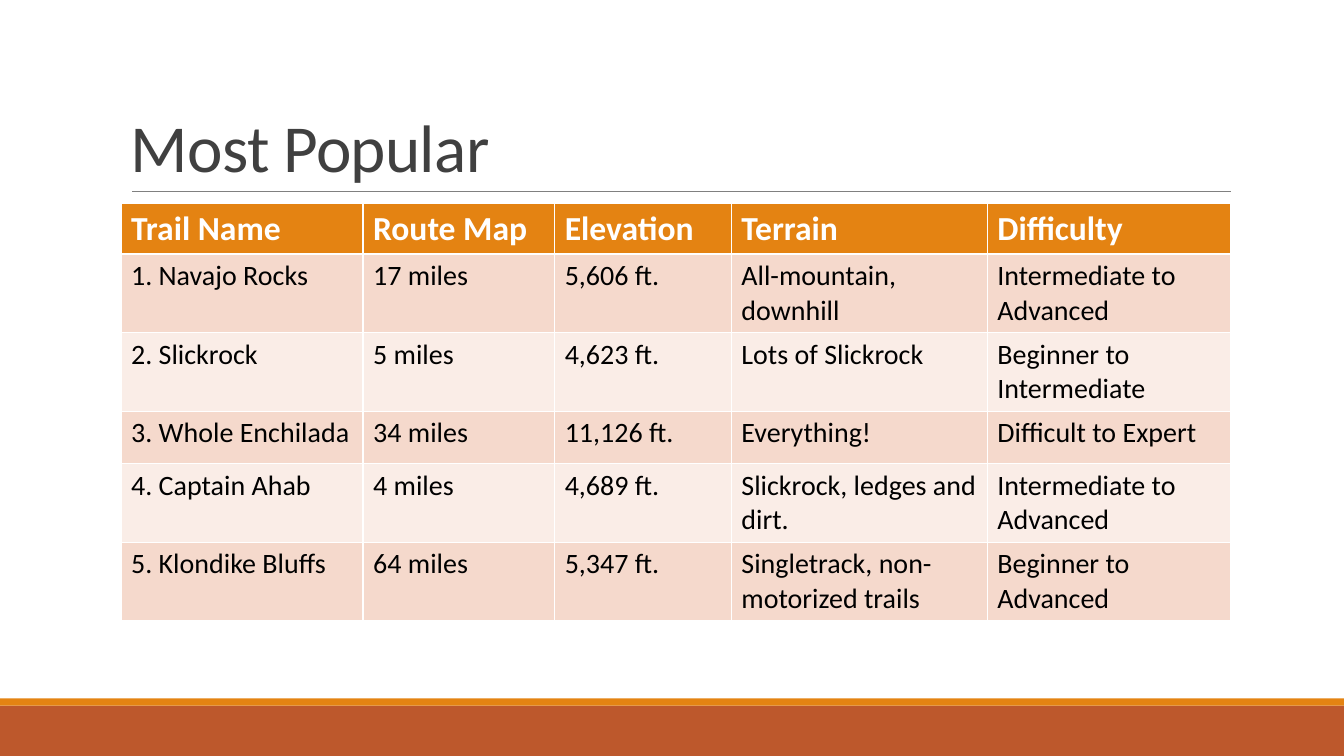
from dataclasses import dataclass

from lxml.etree import SubElement
from pptx import Presentation
from pptx.dml.color import RGBColor
from pptx.enum.shapes import MSO_CONNECTOR as Connector, MSO_SHAPE as Shape
from pptx.enum.text import MSO_ANCHOR as Anchor
from pptx.oxml.ns import qn
from pptx.slide import Slide
from pptx.table import _Cell as Cell
from pptx.text.text import _Paragraph as Paragraph
from pptx.util import Cm, Pt

RUST = RGBColor(0xBD, 0x58, 0x2C)
ORANGE = RGBColor(0xE4, 0x83, 0x12)
GRAY = RGBColor(0x80, 0x80, 0x80)
CHARCOAL = RGBColor(0x40, 0x40, 0x40)
WHITE = RGBColor(0xFF, 0xFF, 0xFF)
BLACK = RGBColor(0, 0, 0)
PEACH = RGBColor(0xF5, 0xD9, 0xCC)
PALE_PEACH = RGBColor(0xFA, 0xED, 0xE7)
FONT = "Calibri"

SLIDE_WIDTH, SLIDE_HEIGHT = Cm(33.87), Cm(19.05)
LEFT, CONTENT_WIDTH = Cm(3.05), Cm(27.94)


@dataclass(frozen=True)
class Band:
    top: float
    height: float
    color: RGBColor


@dataclass(frozen=True)
class Column:
    heading: str
    width: float


@dataclass(frozen=True)
class Trail:
    name: str
    route: str
    elevation: str
    terrain: str
    difficulty: str
    height: float = 1.98

    def values(self) -> list[str]:
        return [self.name, self.route, self.elevation, self.terrain, self.difficulty]


BANDS = [Band(17.78, 1.27, RUST), Band(17.6, 0.18, ORANGE)]
COLUMNS = [
    Column("Trail Name", 6.1),
    Column("Route Map", 4.83),
    Column("Elevation", 4.45),
    Column("Terrain", 6.45),
    Column("Difficulty", 6.12),
]
TRAILS = [
    Trail("1. Navajo Rocks", "17 miles", "5,606 ft.",
          "All-mountain, downhill", "Intermediate to Advanced"),
    Trail("2. Slickrock", "5 miles", "4,623 ft.",
          "Lots of Slickrock", "Beginner to Intermediate"),
    Trail("3. Whole Enchilada", "34 miles", "11,126 ft.",
          "Everything!", "Difficult to Expert", 1.32),
    Trail("4. Captain Ahab", "4 miles", "4,689 ft.",
          "Slickrock, ledges and dirt.", "Intermediate to Advanced"),
    Trail("5. Klondike Bluffs", "64 miles", "5,347 ft.",
          "Singletrack, non-motorized trails", "Beginner to Advanced"),
]
HEADER_HEIGHT = 1.27


def set_font(paragraph: Paragraph, size: int, color: RGBColor, bold: bool = False) -> None:
    font = paragraph.font
    font.name, font.size, font.bold = FONT, Pt(size), bold
    font.color.rgb = color


def draw_band(slide: Slide, band: Band) -> None:
    stripe = slide.shapes.add_shape(
        Shape.RECTANGLE, 0, Cm(band.top), SLIDE_WIDTH, Cm(band.height))
    stripe.shadow.inherit = False
    stripe.fill.solid()
    stripe.fill.fore_color.rgb = band.color
    stripe.line.fill.background()


def draw_title(slide: Slide, text: str) -> None:
    title = slide.shapes.add_textbox(LEFT, Cm(0.79), CONTENT_WIDTH, Cm(4.04))
    frame = title.text_frame
    frame.word_wrap = True
    frame.vertical_anchor = Anchor.BOTTOM
    heading = frame.paragraphs[0]
    heading.line_spacing = 0.85
    set_font(heading, 48, CHARCOAL)
    run = heading.add_run()
    run.text = text
    run._r.get_or_add_rPr().set("spc", "-50")

    # Rule under the title
    rule = slide.shapes.add_connector(
        Connector.STRAIGHT, Cm(3.33), Cm(4.83), Cm(31.01), Cm(4.83))
    rule.line.color.rgb = GRAY
    rule.line.width = Pt(0.5)
    SubElement(rule._element.spPr, qn("a:effectLst"))


def fill_cell(cell: Cell, text: str, size: int, color: RGBColor,
              background: RGBColor, bold: bool = False) -> None:
    cell.text = text
    set_font(cell.text_frame.paragraphs[0], size, color, bold)
    cell.fill.solid()
    cell.fill.fore_color.rgb = background


def draw_trails(slide: Slide) -> None:
    heights = [HEADER_HEIGHT] + [trail.height for trail in TRAILS]
    trails = slide.shapes.add_table(
        len(heights), len(COLUMNS), LEFT, Cm(5.13), CONTENT_WIDTH, Cm(sum(heights))).table
    for row, height in zip(trails.rows, heights):
        row.height = Cm(height)
    for index, column in enumerate(COLUMNS):
        trails.columns[index].width = Cm(column.width)
        fill_cell(trails.cell(0, index), column.heading, 24, WHITE, ORANGE, bold=True)
    for number, trail in enumerate(TRAILS, start=1):
        background = PEACH if number % 2 else PALE_PEACH
        for index, value in enumerate(trail.values()):
            fill_cell(trails.cell(number, index), value, 20, BLACK, background)


def main() -> None:
    deck = Presentation()
    deck.slide_width, deck.slide_height = SLIDE_WIDTH, SLIDE_HEIGHT
    slide = deck.slides.add_slide(deck.slide_layouts[6])

    # Footer bands
    for band in BANDS:
        draw_band(slide, band)

    # Title and table
    draw_title(slide, "Most Popular")
    draw_trails(slide)
    deck.save("out.pptx")


if __name__ == "__main__":
    main()
